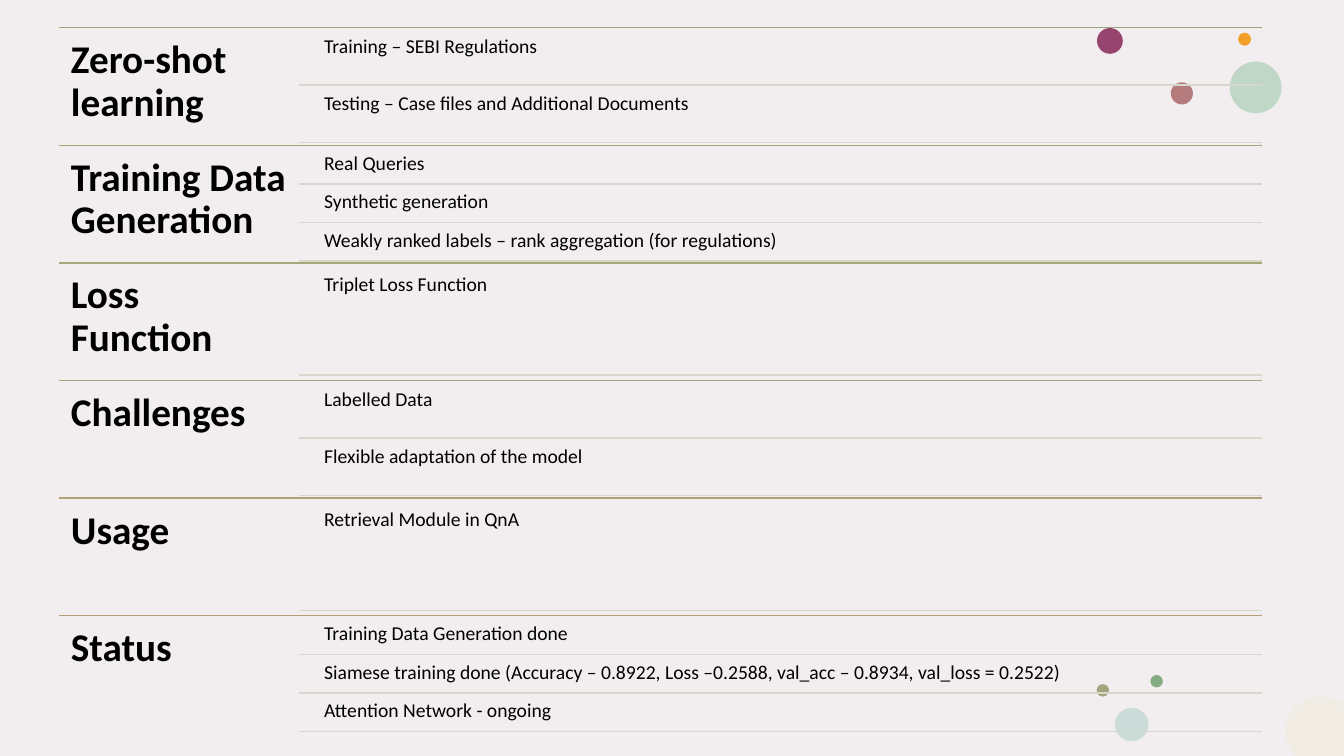
from dataclasses import dataclass
from math import cos, radians, sin

from pptx import Presentation
from pptx.dml.color import RGBColor
from pptx.enum.shapes import MSO_CONNECTOR, MSO_SHAPE
from pptx.enum.text import MSO_ANCHOR
from pptx.oxml.ns import qn
from pptx.util import Inches, Pt
from lxml.etree import SubElement


@dataclass(frozen=True)
class Theme:
    font: str = "Calibri"
    text: str = "000000"
    background: str = "F2EEF0"
    item_rule: str = "D7D8CC"
    section_rules: tuple = ("A1A47C", "A7A77B", "AAA67B", "ADA47A", "AFA27A", "B29F79")
    plum: str = "97446E"
    mint: str = "C0D6C7"
    orange: str = "F39E29"
    rose: str = "B67B7D"
    green: str = "85AB82"
    mist: str = "CCDDD9"
    olive: str = "A1A47C"
    cream: str = "F0ECE4"
    label_size: int = 28
    item_size: int = 14
    rule_width: int = 1


T = Theme()
SLIDE_W, SLIDE_H = Inches(13.33), Inches(7.5)

SECTIONS = [
    ("Zero-shot learning", ["Training – SEBI Regulations",
                            "Testing – Case files and Additional Documents"]),
    ("Training Data Generation", ["Real Queries", "Synthetic generation",
                                  "Weakly ranked labels – rank aggregation (for regulations)"]),
    ("Loss Function", ["Triplet Loss Function"]),
    ("Challenges", ["Labelled Data", "Flexible adaptation of the model"]),
    ("Usage", ["Retrieval Module in QnA"]),
    ("Status", ["Training Data Generation done",
                "Siamese training done (Accuracy – 0.8922, Loss –0.2588, "
                "val_acc – 0.8934, val_loss = 0.2522)",
                "Attention Network - ongoing"]),
]

# Dots: centre x and y as shares of the box, diameter as a share of its width
UPPER_DOTS = [(0.07, 0.15, 0.14, T.plum), (0.86, 0.7, 0.28, T.mint),
              (0.8, 0.13, 0.07, T.orange), (0.46, 0.77, 0.12, T.rose)]
LOWER_DOTS = [(0.91, 0.09, 0.19, T.green), (0.53, 0.75, 0.51, T.mist),
              (0.09, 0.23, 0.19, T.olive)]


def percent_box(x, y, w, h):
    """Box in slide units from percentages of the slide's size."""
    return [int(v * side / 100) for v, side in
            ((x, SLIDE_W), (y, SLIDE_H), (w, SLIDE_W), (h, SLIDE_H))]


def set_all(obj, values):
    for name, value in values.items():
        setattr(obj, name, value)


def paint(sp, color):
    sp.shadow.inherit = False
    sp.fill.solid()
    sp.fill.fore_color.rgb = RGBColor.from_string(color)
    sp.line.fill.background()


def add_text(s, box, text, size, inset, bold=False):
    tf = s.shapes.add_textbox(*map(int, box)).text_frame
    margins = {f"margin_{side}": Inches(inset) for side in ("left", "top", "right", "bottom")}
    set_all(tf, {"word_wrap": True, "vertical_anchor": MSO_ANCHOR.TOP, **margins})
    p = tf.paragraphs[0]
    p.line_spacing = 0.9
    r = p.add_run()
    r.text = text
    set_all(r.font, {"name": T.font, "size": Pt(size), "bold": bold})
    r.font.color.rgb = RGBColor.from_string(T.text)


def add_rule(s, left, right, y, color):
    ln = s.shapes.add_connector(MSO_CONNECTOR.STRAIGHT, *map(int, (left, y, right, y)))
    ln.line.color.rgb = RGBColor.from_string(color)
    ln.line.width = Pt(T.rule_width)
    SubElement(ln._element.spPr, qn("a:effectLst"))


def add_dots(s, box, dots):
    x, y, w, h = box
    for cx, cy, share, color in dots:
        d = share * w
        place = (x + cx * w - d / 2, y + cy * h - d / 2, d, d)
        paint(s.shapes.add_shape(MSO_SHAPE.OVAL, *map(int, place)), color)


def add_corner_disc(s, box):
    """Disc cut off by the right and bottom edges of its box."""
    x, y, w, h = box
    radius = 0.6 * w
    points = [(int(min(x + radius * (1 + cos(radians(a))), x + w)),
               int(min(y + radius * (1 + sin(radians(a))), y + h)))
              for a in range(0, 360, 5)]
    fb = s.shapes.build_freeform(*points[0])
    fb.add_line_segments(points[1:], close=True)
    paint(fb.convert_to_shape(), T.cream)


def add_section(s, box, label, items, rule_color):
    """Label in the left fifth, items stacked with gaps of 5% of their height."""
    x, y, w, h = box
    right = x + w
    add_rule(s, x, right, y, rule_color)
    add_text(s, (x, y, 0.2 * w, h), label, T.label_size, 0.12, bold=True)
    n = len(items)
    item_h = h / (n + 0.05 * (n + 1))
    gap = 0.05 * item_h
    text_x = x + 0.2155 * w
    for i, item in enumerate(items):
        top = y + gap + i * (item_h + gap)
        add_text(s, (text_x, top, right - text_x, item_h), item, T.item_size, 0.06)
        add_rule(s, x + 0.2 * w, right, top + item_h, T.item_rule)


def add_sections(s, box):
    x, y, w, h = box
    row_h = h / len(SECTIONS)
    for i, ((label, items), color) in enumerate(zip(SECTIONS, T.section_rules)):
        add_section(s, (x, y + i * row_h, w, row_h), label, items, color)


def build_overview_slide(prs):
    s = prs.slides.add_slide(prs.slide_layouts[6])
    s.background.fill.solid()
    s.background.fill.fore_color.rgb = RGBColor.from_string(T.background)
    # Decoration
    add_dots(s, percent_box(81.62, 3.73, 13.73, 11.2), UPPER_DOTS)
    add_dots(s, percent_box(81.62, 89.33, 4.88, 8.67), LOWER_DOTS)
    add_corner_disc(s, percent_box(95.65, 92.13, 4.35, 7.87))
    # Six ruled sections
    add_sections(s, percent_box(4.38, 3.67, 89.5, 93.33))


prs = Presentation()
set_all(prs, {"slide_width": SLIDE_W, "slide_height": SLIDE_H})
build_overview_slide(prs)
prs.save("out.pptx")
